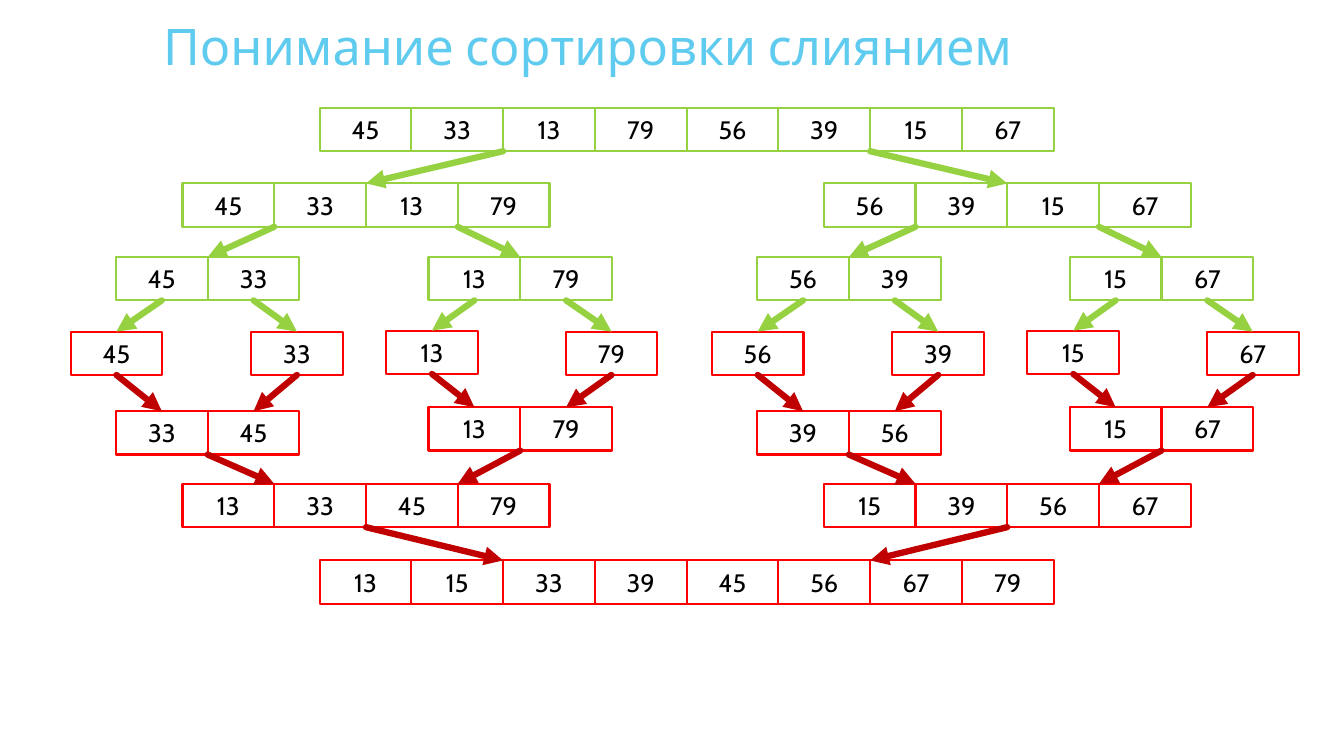
import pptx
import pptx.dml.color
import pptx.enum.shapes
import pptx.enum.text
import pptx.oxml
import pptx.oxml.ns
import pptx.util
from pptx.util import Inches

COLOURS = {
    "title": "5FCBEF",
    "split": "96D141",
    "merge": "FF0000",
    "merge_arrow": "C00000",
    "cell": "FFFFFF",
    "number": "000000",
}
CELL_WIDTH = 0.91
CELL_HEIGHT = 0.43
HALF_SHIFT = 6.36
ROOT_LEFT = 3.17
QUAD_LEFT = 1.81
PAIRS = [
    {"left": 1.15, "merged_top": 4.08, "leaves": [(0.7, 3.29), (2.49, 3.29)]},
    {"left": 4.25, "merged_top": 4.04, "leaves": [(3.83, 3.28), (5.61, 3.29)]},
]
NUMBERS = [45, 33, 13, 79, 56, 39, 15, 67]


def colour(name):
    return pptx.dml.color.RGBColor.from_string(COLOURS[name])


def set_attributes(target, values):
    for name, value in values.items():
        setattr(target, name, value)


def write_text(frame, text, size, colour_name, frame_format, alignment):
    set_attributes(frame, {"word_wrap": True, **frame_format})
    paragraph = frame.paragraphs[0]
    paragraph.alignment = alignment
    run = paragraph.add_run()
    run.text = text
    set_attributes(run.font, {"name": "Cabin", "size": pptx.util.Pt(size)})
    run.font.color.rgb = colour(colour_name)


def add_title(slide, text):
    box = slide.shapes.add_textbox(Inches(1.52), Inches(0.1), Inches(9.4), Inches(0.97))
    top = {"vertical_anchor": pptx.enum.text.MSO_ANCHOR.TOP}
    write_text(box.text_frame, text, 36, "title", top, pptx.enum.text.PP_ALIGN.LEFT)


def add_cell(slide, left, top, number, line_colour):
    cell = slide.shapes.add_shape(
        pptx.enum.shapes.MSO_SHAPE.RECTANGLE,
        Inches(left), Inches(top), Inches(CELL_WIDTH), Inches(CELL_HEIGHT),
    )
    cell.shadow.inherit = False
    cell.fill.solid()
    cell.fill.fore_color.rgb = colour("cell")
    cell.line.color.rgb = colour(line_colour)
    cell.line.width = pptx.util.Pt(1.5)
    middle = {"vertical_anchor": pptx.enum.text.MSO_ANCHOR.MIDDLE}
    write_text(cell.text_frame, str(number), 18, "number", middle,
               pptx.enum.text.PP_ALIGN.CENTER)
    return cell


def add_array(slide, left, top, numbers, line_colour):
    return [
        add_cell(slide, left + index * CELL_WIDTH, top, number, line_colour)
        for index, number in enumerate(numbers)
    ]


def add_arrow(slide, source, source_position, target, target_position, colour_name):
    arrow = slide.shapes.add_connector(
        pptx.enum.shapes.MSO_CONNECTOR.STRAIGHT,
        source[0].left + Inches(source_position * CELL_WIDTH),
        source[0].top + source[0].height,
        target[0].left + Inches(target_position * CELL_WIDTH),
        target[0].top,
    )
    if source_position % 1:
        arrow.begin_connect(source[int(source_position)], 2)
    if target_position % 1:
        arrow.end_connect(target[int(target_position)], 0)
    arrow.line.color.rgb = colour(colour_name)
    arrow.line.width = pptx.util.Pt(4.5)
    line = arrow.line._get_or_add_ln()
    line.set("cap", "rnd")
    namespace = pptx.oxml.ns.nsdecls("a")
    line.append(pptx.oxml.parse_xml(f'<a:tailEnd {namespace} type="triangle"/>'))
    arrow._element.spPr.append(pptx.oxml.parse_xml(f"<a:effectLst {namespace}/>"))


def add_pair(slide, pair, shift, numbers):
    left = pair["left"] + shift
    split = add_array(slide, left, 2.55, numbers, "split")
    leaves = [
        add_array(slide, leaf_left + shift, leaf_top, [number], "merge")
        for (leaf_left, leaf_top), number in zip(pair["leaves"], numbers)
    ]
    merged = add_array(slide, left, pair["merged_top"], sorted(numbers), "merge")
    arrows = []
    for index, leaf in enumerate(leaves):
        arrows.append((split, index + 0.5, leaf, 0.5, "split"))
        arrows.append((leaf, 0.5, merged, index + 0.5, "merge_arrow"))
    return split, merged, arrows


def add_half(slide, half, numbers, root, result):
    shift = half * HALF_SHIFT
    split = add_array(slide, QUAD_LEFT + shift, 1.82, numbers, "split")
    merged = add_array(slide, QUAD_LEFT + shift, 4.8, sorted(numbers), "merge")
    root_position = 2 + 4 * half
    arrows = [
        (root, root_position, split, 2, "split"),
        (merged, 2, result, root_position, "merge_arrow"),
    ]
    for index, pair in enumerate(PAIRS):
        pair_numbers = numbers[2 * index:2 * index + 2]
        pair_split, pair_merged, pair_arrows = add_pair(slide, pair, shift, pair_numbers)
        position = 1 + 2 * index
        arrows.append((split, position, pair_split, 1, "split"))
        arrows.append((pair_merged, 1, merged, position, "merge_arrow"))
        arrows.extend(pair_arrows)
    return arrows


def main():
    presentation = pptx.Presentation()
    presentation.slide_width = Inches(13.33)
    presentation.slide_height = Inches(7.5)
    slide = presentation.slides.add_slide(presentation.slide_layouts[6])
    add_title(slide, "Понимание сортировки слиянием")
    root = add_array(slide, ROOT_LEFT, 1.07, NUMBERS, "split")
    result = add_array(slide, ROOT_LEFT, 5.56, sorted(NUMBERS), "merge")
    arrows = []
    for half in range(2):
        arrows += add_half(slide, half, NUMBERS[4 * half:4 * half + 4], root, result)
    for arrow in arrows:
        add_arrow(slide, *arrow)
    presentation.save("out.pptx")


if __name__ == "__main__":
    main()
